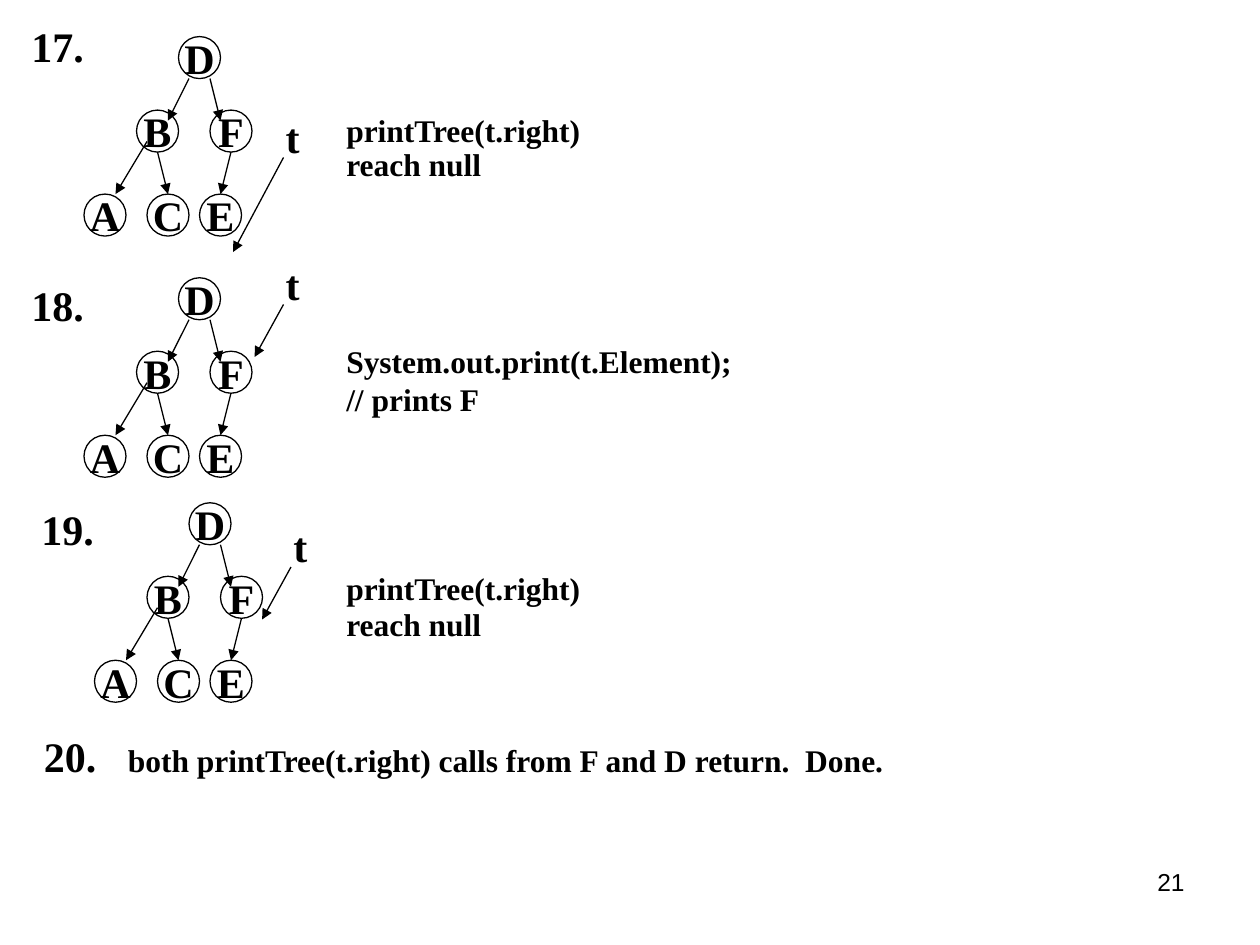
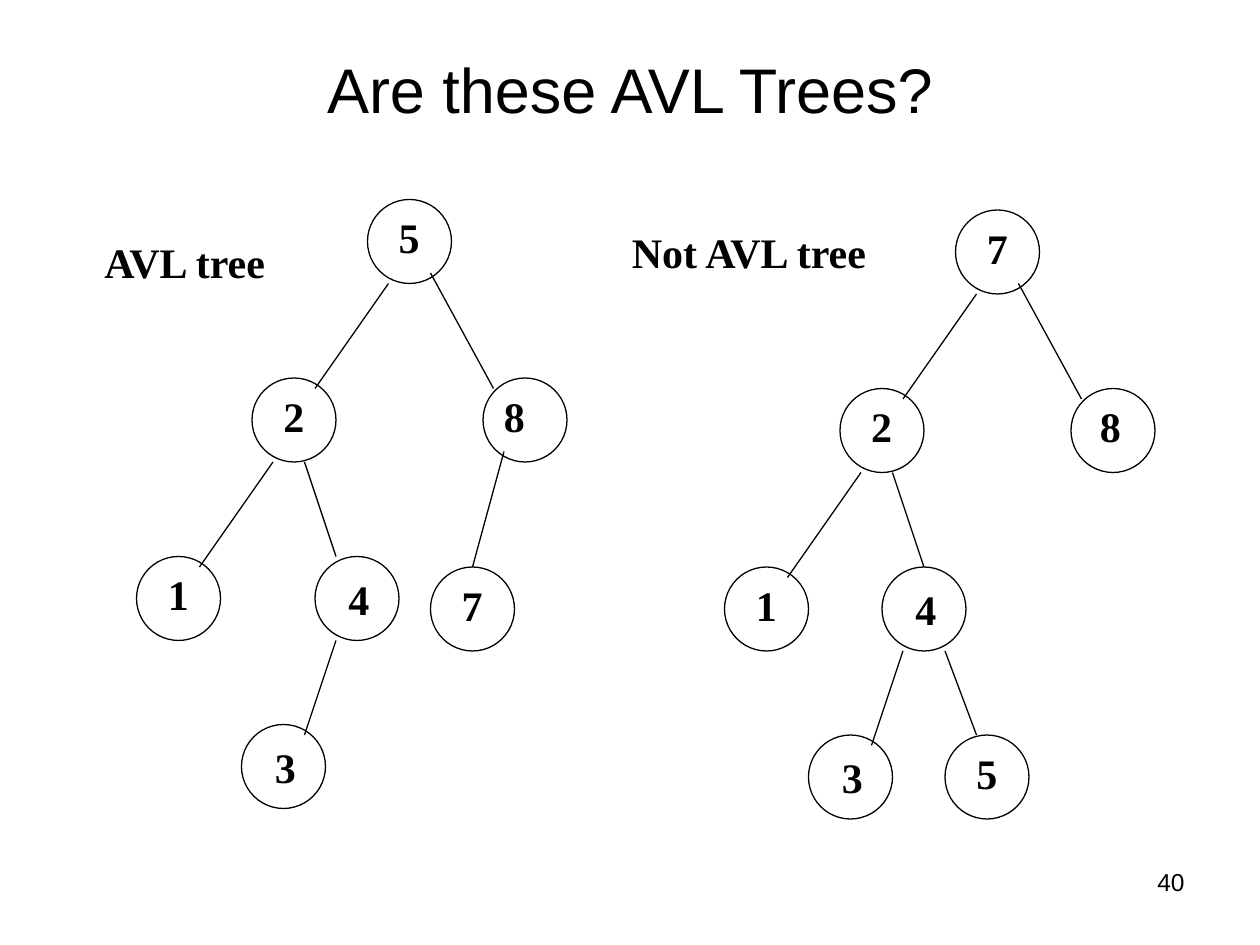
from dataclasses import dataclass

from lxml import etree
from pptx import Presentation
from pptx.dml.color import RGBColor
from pptx.enum import shapes, text
from pptx.oxml import ns
from pptx.util import Pt

Point = tuple[float, float]


@dataclass(frozen=True)
class Theme:
    ink: RGBColor = RGBColor(0, 0, 0)
    serif: str = "Times New Roman"
    sans: str = "Arial"
    title_size: float = 36
    label_size: float = 24
    code_size: float = 18
    number_size: float = 14
    line_width: float = 0.75


@dataclass(frozen=True)
class Node:
    """A circle, placed relative to the top left of its tree's root."""
    key: str
    x: float
    y: float
    key_offset: Point = (10.8, 3.5)


@dataclass(frozen=True)
class Edge:
    """A line between points relative to the top left of the root."""
    start: Point
    end: Point


@dataclass(frozen=True)
class Note:
    top: float
    width: float
    height: float
    lines: tuple[str, ...]


@dataclass(frozen=True)
class Step:
    number: str
    number_at: Point
    root: Point
    pointer: Edge
    notes: tuple[Note, ...]


@dataclass(frozen=True)
class SearchTree:
    caption: str
    caption_at: Point
    caption_width: float
    root: Point
    nodes: tuple[Node, ...]
    edges: tuple[Edge, ...]


THEME = Theme()
STEP_NODE_SIZE = 24
AVL_NODE_SIZE = 48
LABEL_HEIGHT = 36
CODE_HEIGHT = 28.8
NOTE_LEFT = 190.8
CODE_WIDTH = 150
POINTER_LABEL_OFFSET = (-5.8, -30)
LOW_KEY = (12, 6)

STEP_NODES = (
    Node("D", 0, 0), Node("B", -24, 42), Node("F", 18, 42),
    Node("A", -54, 90), Node("C", -18, 90), Node("E", 12, 90),
)
STEP_EDGES = (
    Edge((6, 24), (-6, 48)), Edge((18, 24), (24, 48)),
    Edge((-18, 60), (-36, 90)), Edge((-12, 66), (-6, 90)),
    Edge((30, 66), (24, 90)),
)


def reach_null(call_top: float, result_top: float) -> tuple[Note, ...]:
    return (Note(call_top, CODE_WIDTH, CODE_HEIGHT, ("printTree(t.right)",)),
            Note(result_top, 92, CODE_HEIGHT, ("reach null",)))


STEPS = (
    Step("17.", (10.8, 8), (102, 20.9), Edge((162, 90), (133.2, 144)),
         reach_null(59.8, 79.2)),
    Step("18.", (10.8, 156.2), (102, 158.7), Edge((162, 174), (145.5, 204)),
         (Note(192.2, 235, 50.4,
               ("System.out.print(t.Element);", "// prints F")),)),
    Step("19.", (16.6, 284.4), (108, 287.3), Edge((166.3, 324), (149.8, 354)),
         reach_null(321.8, 342)),
)

SHARED_EDGES = (
    Edge((72, 108), (36, 42)), Edge((12, 48), (-30, 108)),
    Edge((-54, 150), (-96, 210)), Edge((-36, 150), (-18, 204)),
)
SEARCH_TREES = (
    SearchTree(
        "AVL tree", (52.6, 131.8), 111, (210, 114),
        (Node("5", 0, 0), Node("2", -66, 102), Node("8", 66, 102, (4.8, 3.5)),
         Node("1", -132, 204), Node("4", -30, 204, LOW_KEY),
         Node("7", 36, 210), Node("3", -72, 300, LOW_KEY)),
        SHARED_EDGES + (Edge((78, 144), (60, 210)),
                        Edge((-18, 252), (-36, 306)))),
    SearchTree(
        "Not AVL tree", (354, 126), 169, (546, 120),
        (Node("7", 0, 0), Node("2", -66, 102), Node("8", 66, 102, (9.4, 3.5)),
         Node("1", -132, 204), Node("4", -42, 204, LOW_KEY),
         Node("3", -84, 300, LOW_KEY), Node("5", -6, 300)),
        SHARED_EDGES + (Edge((-30, 252), (-48, 306)),
                        Edge((-6, 252), (12, 300)))),
)


def shift(point: Point, by: Point) -> Point:
    return point[0] + by[0], point[1] + by[1]


def style(paragraph, size: float, font: str, bold: bool, align) -> None:
    paragraph.alignment = align
    paragraph.font.size = Pt(size)
    paragraph.font.name = font
    paragraph.font.bold = bold
    paragraph.font.color.rgb = THEME.ink


def add_label(slide, at: Point, width: float, height: float,
              lines: tuple[str, ...], size: float = THEME.label_size) -> None:
    """Bold serif text that keeps each line unbroken."""
    frame = slide.shapes.add_textbox(
        Pt(at[0]), Pt(at[1]), Pt(width), Pt(height)).text_frame
    frame.word_wrap = False
    frame.auto_size = text.MSO_AUTO_SIZE.SHAPE_TO_FIT_TEXT
    frame.text = "\n".join(lines)
    for paragraph in frame.paragraphs:
        style(paragraph, size, THEME.serif, True, text.PP_ALIGN.LEFT)


def add_circle(slide, at: Point, diameter: float):
    circle = slide.shapes.add_shape(
        shapes.MSO_SHAPE.OVAL, Pt(at[0]), Pt(at[1]), Pt(diameter), Pt(diameter))
    circle.shadow.inherit = False
    circle.fill.background()
    circle.line.color.rgb = THEME.ink
    circle.line.width = Pt(THEME.line_width)
    return circle


def add_edge(slide, edge: Edge, origin: Point = (0, 0),
             arrow: bool = False) -> None:
    start, end = shift(edge.start, origin), shift(edge.end, origin)
    connector = slide.shapes.add_connector(
        shapes.MSO_CONNECTOR.STRAIGHT, *map(Pt, start + end))
    connector.line.color.rgb = THEME.ink
    connector.line.width = Pt(THEME.line_width)
    properties = connector.element.spPr
    if arrow:
        etree.SubElement(properties.find(ns.qn("a:ln")), ns.qn("a:tailEnd"),
                         type="triangle")
    etree.SubElement(properties, ns.qn("a:effectLst"))


def add_page_number(slide, number: int) -> None:
    frame = slide.shapes.add_textbox(
        Pt(516), Pt(492), Pt(168), Pt(37.5)).text_frame
    frame.word_wrap = True
    frame.text = str(number)
    style(frame.paragraphs[0], THEME.number_size, THEME.sans, False,
          text.PP_ALIGN.RIGHT)


def set_title(slide, wording: str) -> None:
    title = slide.shapes.title
    title.left, title.top, title.width, title.height = map(
        Pt, (36, 21.6, 648, 68.4))
    frame = title.text_frame
    frame.text = wording
    frame.vertical_anchor = text.MSO_ANCHOR.TOP
    frame.margin_top = Pt(7)
    style(frame.paragraphs[0], THEME.title_size, THEME.sans, False,
          text.PP_ALIGN.CENTER)


def draw_step(slide, step: Step) -> None:
    add_label(slide, step.number_at, 44.6, LABEL_HEIGHT, (step.number,))
    for node in STEP_NODES:
        circle = add_circle(slide, shift((node.x, node.y), step.root),
                            STEP_NODE_SIZE)
        frame = circle.text_frame
        frame.word_wrap = False
        frame.vertical_anchor = text.MSO_ANCHOR.MIDDLE
        frame.text = node.key
        style(frame.paragraphs[0], THEME.label_size, THEME.serif, True,
              text.PP_ALIGN.CENTER)
    for edge in STEP_EDGES:
        add_edge(slide, edge, step.root, arrow=True)
    add_edge(slide, step.pointer, arrow=True)
    add_label(slide, shift(step.pointer.start, POINTER_LABEL_OFFSET),
              22.3, LABEL_HEIGHT, ("t",))
    for note in step.notes:
        add_label(slide, (NOTE_LEFT, note.top), note.width, note.height,
                  note.lines, THEME.code_size)


def draw_search_tree(slide, tree: SearchTree) -> None:
    add_label(slide, tree.caption_at, tree.caption_width, LABEL_HEIGHT,
              (tree.caption,))
    for node in tree.nodes:
        corner = shift((node.x, node.y), tree.root)
        add_circle(slide, corner, AVL_NODE_SIZE)
        add_label(slide, shift(corner, node.key_offset), 26.6, LABEL_HEIGHT,
                  (node.key,))
    for edge in tree.edges:
        add_edge(slide, edge, tree.root)


def main() -> None:
    deck = Presentation()
    deck.slide_width, deck.slide_height = Pt(720), Pt(540)
    title_only, blank = deck.slide_layouts[5], deck.slide_layouts[6]

    traversal = deck.slides.add_slide(blank)
    for step in STEPS:
        draw_step(traversal, step)
    add_label(traversal, (18, 414), 44.6, LABEL_HEIGHT, ("20.",))
    add_label(traversal, (66, 420), 449, CODE_HEIGHT,
              ("both printTree(t.right) calls from F and D return.  Done.",),
              THEME.code_size)
    add_page_number(traversal, 21)

    avl_question = deck.slides.add_slide(title_only)
    set_title(avl_question, "Are these AVL Trees?")
    for tree in SEARCH_TREES:
        draw_search_tree(avl_question, tree)
    add_page_number(avl_question, 40)

    deck.save("out.pptx")


if __name__ == "__main__":
    main()
